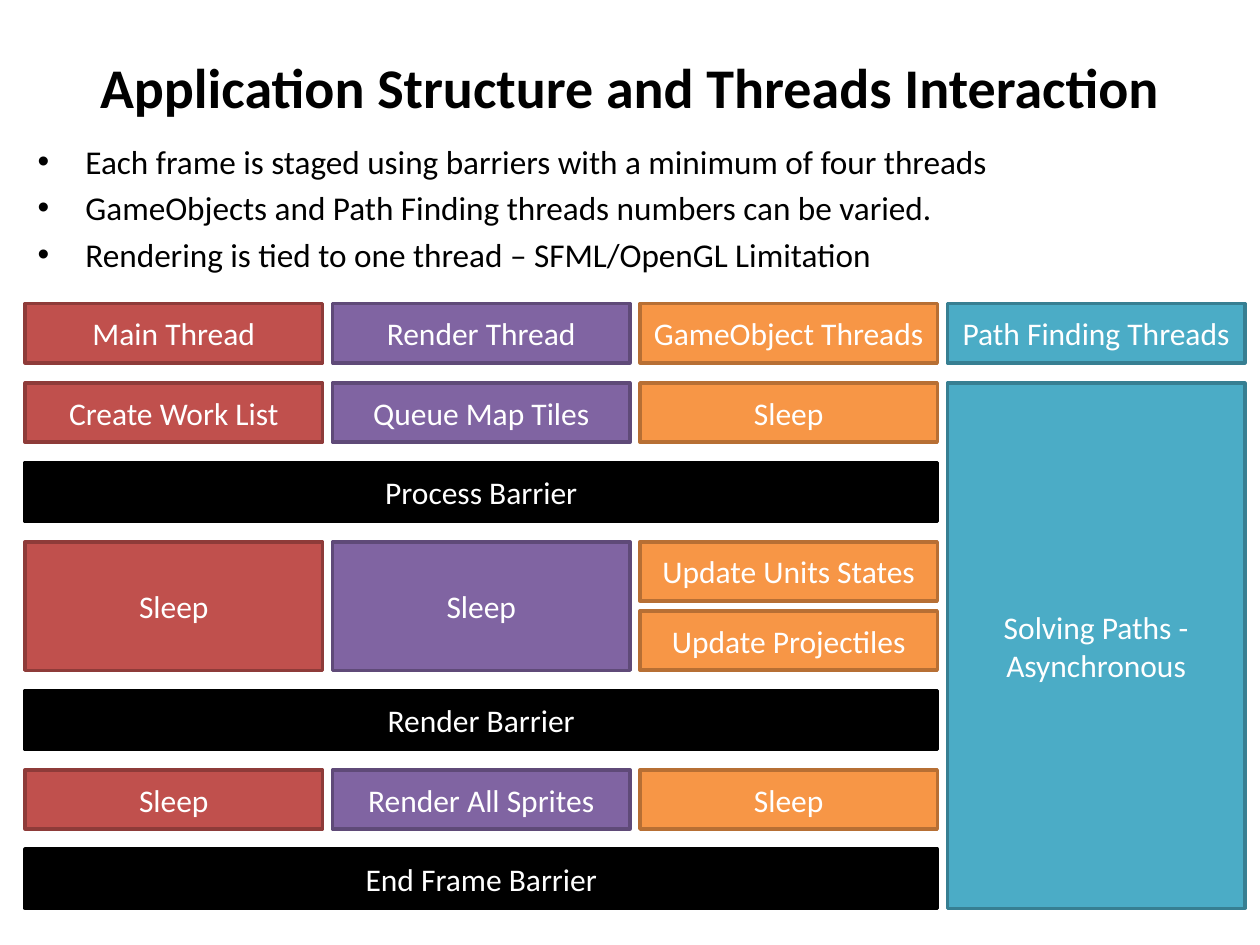
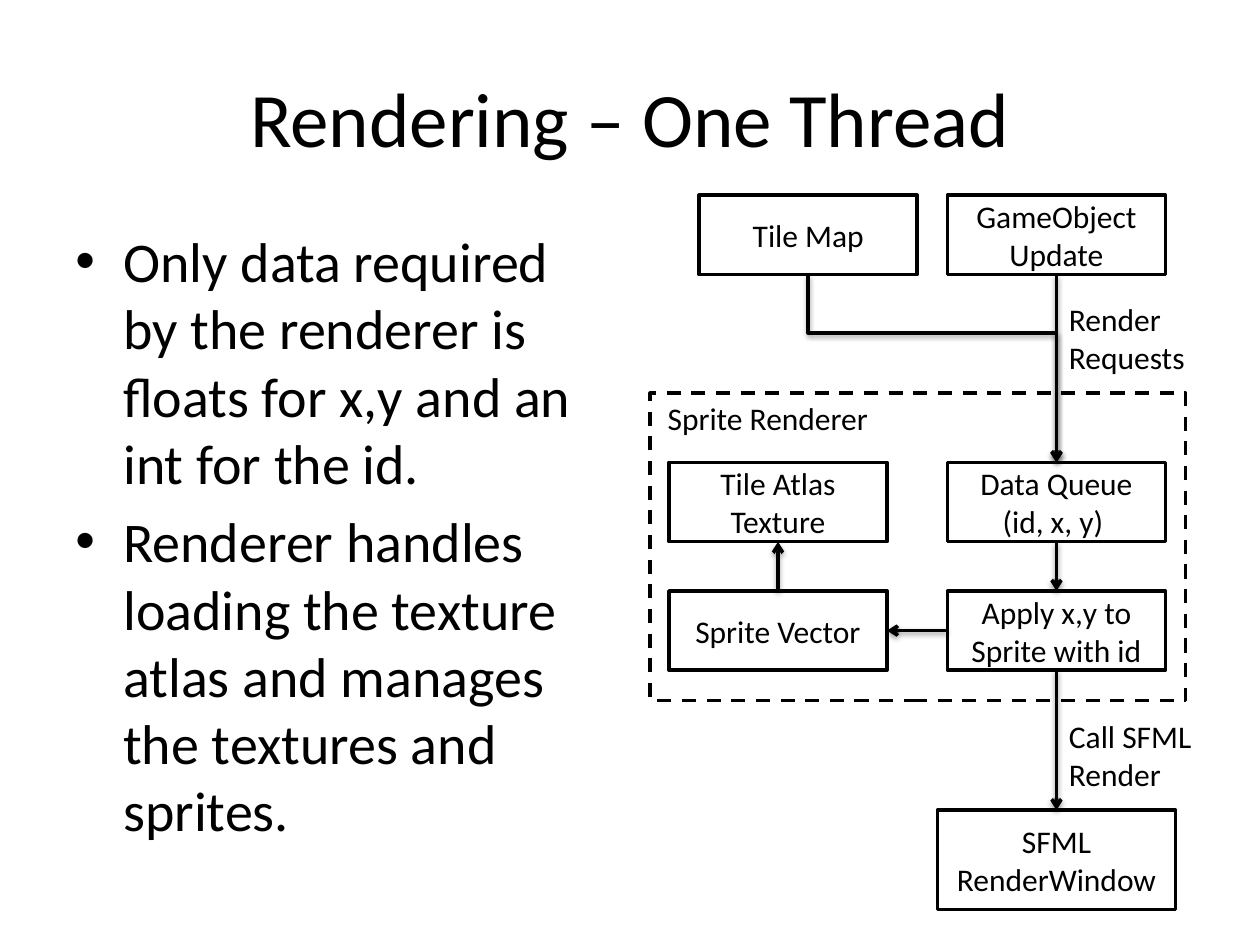
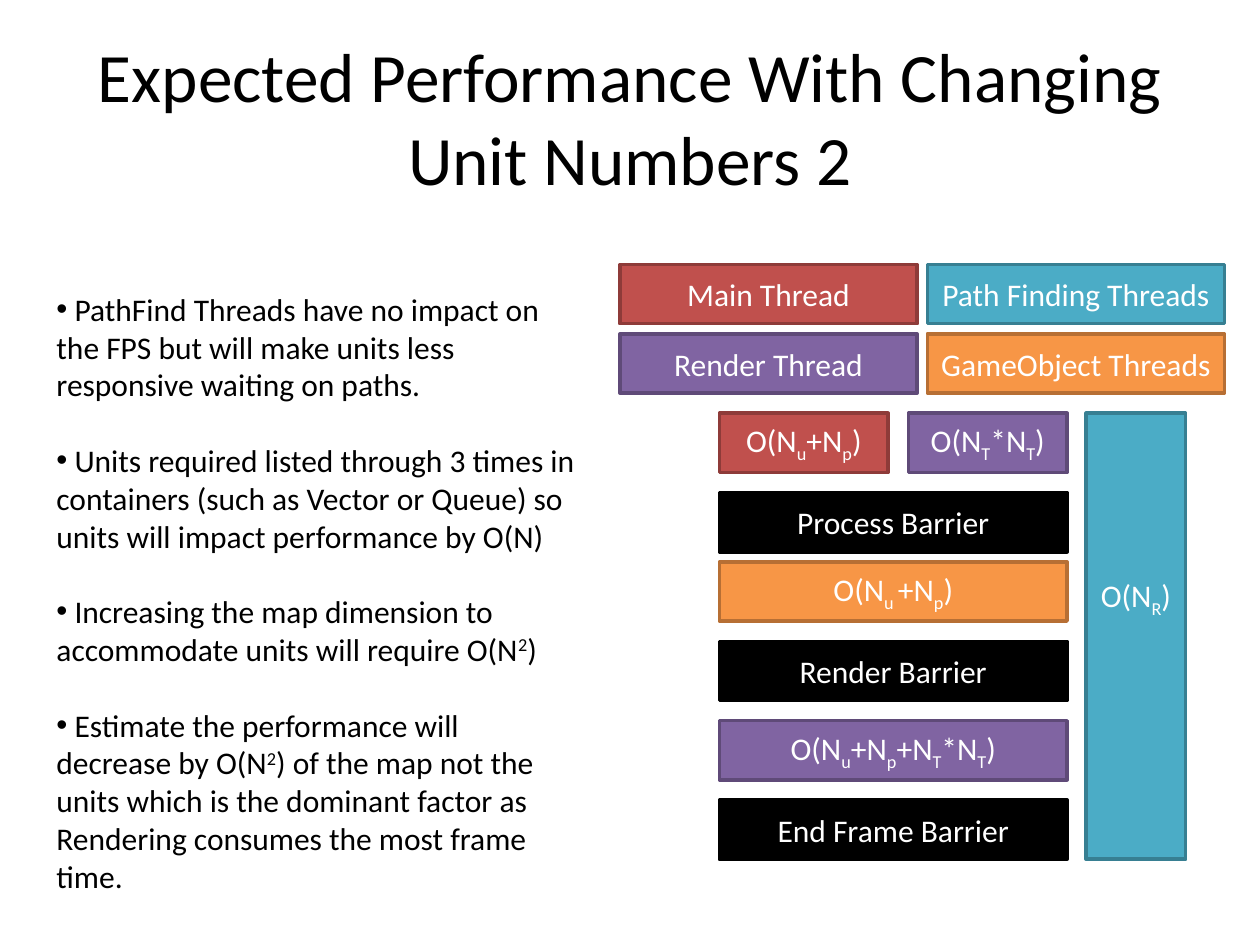
from itertools import accumulate

from lxml import etree
from pptx import Presentation
from pptx.dml.color import RGBColor
from pptx.enum import dml, shapes, text
from pptx.oxml import ns
from pptx.util import Inches, Pt

FONT = "Calibri"
BLACK = RGBColor(0x00, 0x00, 0x00)
WHITE = RGBColor(0xFF, 0xFF, 0xFF)
RED = RGBColor(0xC0, 0x50, 0x4D)
PURPLE = RGBColor(0x80, 0x64, 0xA2)
ORANGE = RGBColor(0xF7, 0x96, 0x46)
TEAL = RGBColor(0x4B, 0xAC, 0xC6)
OUTLINES = {
    RED: RGBColor(0x8E, 0x3B, 0x39),
    PURPLE: RGBColor(0x5F, 0x4A, 0x78),
    ORANGE: RGBColor(0xB7, 0x6F, 0x34),
    TEAL: RGBColor(0x37, 0x7F, 0x92),
}
THREADS = {
    "Main Thread": RED,
    "Render Thread": PURPLE,
    "GameObject Threads": ORANGE,
    "Path Finding Threads": TEAL,
}

BAR_W, BAR_H = 2.36, 0.47
COL_STEP = 2.44
ROW_STEP, TIGHT_STEP = 0.63, 0.55
CENTER = text.PP_ALIGN.CENTER
TOP, LEFT, BOTTOM, RIGHT = range(4)  # connection sites of a rectangle


def inches(*lengths):
    return [Inches(n) for n in lengths]


def sub(parent, tag, **attrs):
    return etree.SubElement(parent, ns.qn(tag), attrs)


def write(tf, paragraphs, size=18, color=BLACK, bold=False, align=None,
          shift=-25, bullet=False, indent=0, before=0, after=0):
    """Fill a text frame; pieces between ~ marks are raised or lowered by shift percent."""
    tf.word_wrap = True
    for i, line in enumerate(paragraphs):
        p = tf.paragraphs[0] if i == 0 else tf.add_paragraph()
        p.alignment = align
        p.space_before, p.space_after = Pt(before), Pt(after)
        if bullet:
            pPr = p._p.get_or_add_pPr()
            pPr.set("marL", str(Inches(indent)))
            pPr.set("indent", str(-Inches(indent)))
            sub(pPr, "a:buFont", typeface="Arial")
            sub(pPr, "a:buChar", char="•")
        for j, piece in enumerate(line.split("~")):
            r = p.add_run()
            r.text = piece
            r.font.name, r.font.size, r.font.bold = FONT, Pt(size), bold
            r.font.color.rgb = color
            if j % 2:
                r._r.get_or_add_rPr().set("baseline", str(shift * 1000))


def add_text(s, box, paragraphs, **fmt):
    write(s.shapes.add_textbox(*inches(*box)).text_frame, paragraphs, **fmt)


def add_titled_slide(prs, title, height=1.25, **fmt):
    s = prs.slides.add_slide(prs.slide_layouts[5])
    sp = s.shapes.title
    sp.left, sp.top, sp.width, sp.height = inches(0.5, 0.3, 9, height)
    tf = sp.text_frame
    tf.auto_size = text.MSO_AUTO_SIZE.NONE
    tf.vertical_anchor = text.MSO_ANCHOR.MIDDLE
    write(tf, [title], align=CENTER, **fmt)
    return s


def add_box(s, box, label="", fill=None, line=BLACK, color=BLACK):
    sp = s.shapes.add_shape(shapes.MSO_SHAPE.RECTANGLE, *inches(*box))
    sp.shadow.inherit = False
    if fill is None:
        sp.fill.background()
    else:
        sp.fill.solid()
        sp.fill.fore_color.rgb = fill
    sp.line.color.rgb = line
    sp.line.width = Pt(2)
    if label:
        sp.text_frame.vertical_anchor = text.MSO_ANCHOR.MIDDLE
        write(sp.text_frame, [label], color=color, align=CENTER)
    return sp


def add_bar(s, x, y, label, fill, w=BAR_W, h=BAR_H):
    return add_box(s, (x, y, w, h), label, fill, OUTLINES.get(fill, BLACK), WHITE)


def add_arrow(s, start, start_site, end, end_site, bend=None):
    """Join two boxes; bend is the share of the drop at which an elbow turns."""
    kind = shapes.MSO_CONNECTOR.STRAIGHT if bend is None else shapes.MSO_CONNECTOR.ELBOW
    c = s.shapes.add_connector(kind, 0, 0, 0, 0)
    c.begin_connect(start, start_site)
    c.end_connect(end, end_site)
    c.line.color.rgb = BLACK
    c.line.width = Pt(2)
    sub(c.line._get_or_add_ln(), "a:tailEnd", type="arrow")
    spPr = c._element.spPr
    shadow = sub(sub(spPr, "a:effectLst"), "a:outerShdw", blurRad=str(Pt(3.1)),
                 dist=str(Pt(1.6)), dir="5400000", rotWithShape="0")
    sub(sub(shadow, "a:srgbClr", val=str(BLACK)), "a:alpha", val="38000")
    if bend is not None:
        # A vertical elbow is a horizontal one turned about its centre.
        w, h = c.width, c.height
        c.left, c.top = c.left + (w - h) // 2, c.top + (h - w) // 2
        c.width, c.height = h, w
        xfrm = spPr.find(ns.qn("a:xfrm"))
        xfrm.set("rot", "16200000")
        xfrm.set("flipH", "1")
        sub(spPr.find(ns.qn("a:prstGeom")).find(ns.qn("a:avLst")), "a:gd",
            name="adj1", fmla=f"val {round(bend * 100000)}")


def row_tops(top, tight_rows):
    """Tops of eight rows, where each row in tight_rows follows its predecessor closely."""
    steps = [TIGHT_STEP if i in tight_rows else ROW_STEP for i in range(1, 8)]
    return list(accumulate(steps, initial=top))


def draw_frame_stages(s, x, y):
    rows = row_tops(y, {4})
    cols = [x + i * COL_STEP for i in range(4)]
    for col, (name, fill) in zip(cols, THREADS.items()):
        add_bar(s, col, rows[0], name, fill)
    stages = {
        1: ("Create Work List", "Queue Map Tiles", "Sleep"),
        6: ("Sleep", "Render All Sprites", "Sleep"),
    }
    for row, labels in stages.items():
        for col, label, fill in zip(cols, labels, THREADS.values()):
            add_bar(s, col, rows[row], label, fill)
    for col, fill in zip(cols, (RED, PURPLE)):
        add_bar(s, col, rows[3], "Sleep", fill, h=TIGHT_STEP + BAR_H)
    for row, label in ((3, "Update Units States"), (4, "Update Projectiles")):
        add_bar(s, cols[2], rows[row], label, ORANGE)
    draw_barriers(s, x, rows, (2, 5, 7), 2 * COL_STEP + BAR_W)
    add_bar(s, cols[3], rows[1], "Solving Paths - Asynchronous", TEAL,
            h=rows[7] + BAR_H - rows[1])


def draw_barriers(s, x, rows, places, w):
    for row, name in zip(places, ("Process", "Render", "End Frame")):
        add_bar(s, x, rows[row], f"{name} Barrier", BLACK, w=w)


def draw_render_flow(s, x, y):
    w, h = 1.73, 0.63
    left, right = x + 0.15, x + 2.36
    line_x = right + w / 2
    add_box(s, (x, y + 1.57, 4.25, 2.44)).line.dash_style = dml.MSO_LINE.DASH

    def node(nx, ny, label, nw=w, nh=h):
        return add_box(s, (nx, y + ny, nw, nh), label, WHITE)

    tile_map = node(x + 0.39, 0, "Tile Map")
    update = node(right, 0, "GameObject Update")
    atlas = node(left, 2.12, "Tile Atlas Texture")
    queue = node(right, 2.12, "Data Queue (id, x, y) ")
    vector = node(left, 3.14, "Sprite Vector")
    apply_xy = node(right, 3.14, "Apply x,y to Sprite with id")
    window = node(line_x - 0.945, 4.88, "SFML RenderWindow", 1.89, 0.79)

    add_arrow(s, tile_map, BOTTOM, queue, TOP, bend=0.31)
    add_arrow(s, update, BOTTOM, queue, TOP)
    add_arrow(s, queue, BOTTOM, apply_xy, TOP)
    add_arrow(s, apply_xy, LEFT, vector, RIGHT)
    add_arrow(s, vector, TOP, atlas, BOTTOM)
    add_arrow(s, apply_xy, BOTTOM, window, TOP)

    add_text(s, (x + 0.04, y + 1.57, 4.21, 0.4), ["Sprite Renderer"])
    add_text(s, (line_x, y + 0.78, 1.18, 0.71), ["Render Requests"])
    add_text(s, (line_x, y + 4.09, 1.42, 0.71), ["Call SFML Render"])


def draw_cost_stages(s, x, y):
    rows = row_tops(y, {1, 4})
    legend = ("Main Thread", "Path Finding Threads", "Render Thread", "GameObject Threads")
    for i, name in enumerate(legend):
        add_bar(s, x + i % 2 * COL_STEP, rows[i // 2], name, THREADS[name])
    bar_x, w = x + 0.79, 2.76
    add_bar(s, bar_x, rows[2], "O(N~u~+N~p~)", RED, w=1.34)
    add_bar(s, bar_x + 1.5, rows[2], "O(N~T~*N~T~)", PURPLE, w=1.26)
    add_bar(s, bar_x, rows[4], "O(N~u ~+N~p~)", ORANGE, w=w)
    add_bar(s, bar_x, rows[6], "O(N~u~+N~p~+N~T~*N~T~)", PURPLE, w=w)
    draw_barriers(s, bar_x, rows, (3, 5, 7), w)
    paths = add_bar(s, x + 3.7, rows[2], "O(N~R~)", TEAL, w=0.79,
                    h=rows[7] + BAR_H - rows[2])
    paths.text_frame.margin_bottom = Inches(0.66)


def build_structure_slide(prs):
    s = add_titled_slide(prs, "Application Structure and Threads Interaction",
                         height=0.77, size=32, bold=True)
    add_text(s, (0.2, 1.07, 9.69, 1.18), [
        "Each frame is staged using barriers with a minimum of four threads",
        "GameObjects and Path Finding threads numbers can be varied.",
        "Rendering is tied to one thread – SFML/OpenGL Limitation",
    ], size=19, bullet=True, indent=0.38, before=3.8)
    draw_frame_stages(s, 0.2, 2.41)


def build_rendering_slide(prs):
    s = add_titled_slide(prs, "Rendering – One Thread", size=44)
    add_text(s, (0.5, 1.75, 4.42, 4.95), [
        "Only data required by the renderer is floats for x,y and an int for the id.",
        "Renderer handles loading the texture atlas and manages the textures and sprites.",
    ], size=32, bullet=True, indent=0.38, before=6.4)
    draw_render_flow(s, 5.16, 1.55)


def build_performance_slide(prs):
    s = add_titled_slide(prs, "Expected Performance With Changing Unit Numbers 2", size=39.6)
    add_text(s, (0.35, 2.25, 4.33, 4.95), [
        " PathFind Threads have no impact on the FPS but will make units less "
        "responsive waiting on paths.",
        " Units required listed through 3 times in containers (such as Vector or "
        "Queue) so units will impact performance by O(N)",
        " Increasing the map dimension to accommodate units will require O(N~2~)",
        " Estimate the performance will decrease by O(N~2~) of the map not the units "
        "which is the dominant factor as Rendering consumes the most frame time.",
    ], bullet=True, shift=30, after=21.6)
    draw_cost_stages(s, 4.92, 2.1)


def main():
    prs = Presentation()
    prs.slide_width, prs.slide_height = inches(10, 7.5)
    build_structure_slide(prs)
    build_rendering_slide(prs)
    build_performance_slide(prs)
    prs.save("out.pptx")


if __name__ == "__main__":
    main()
